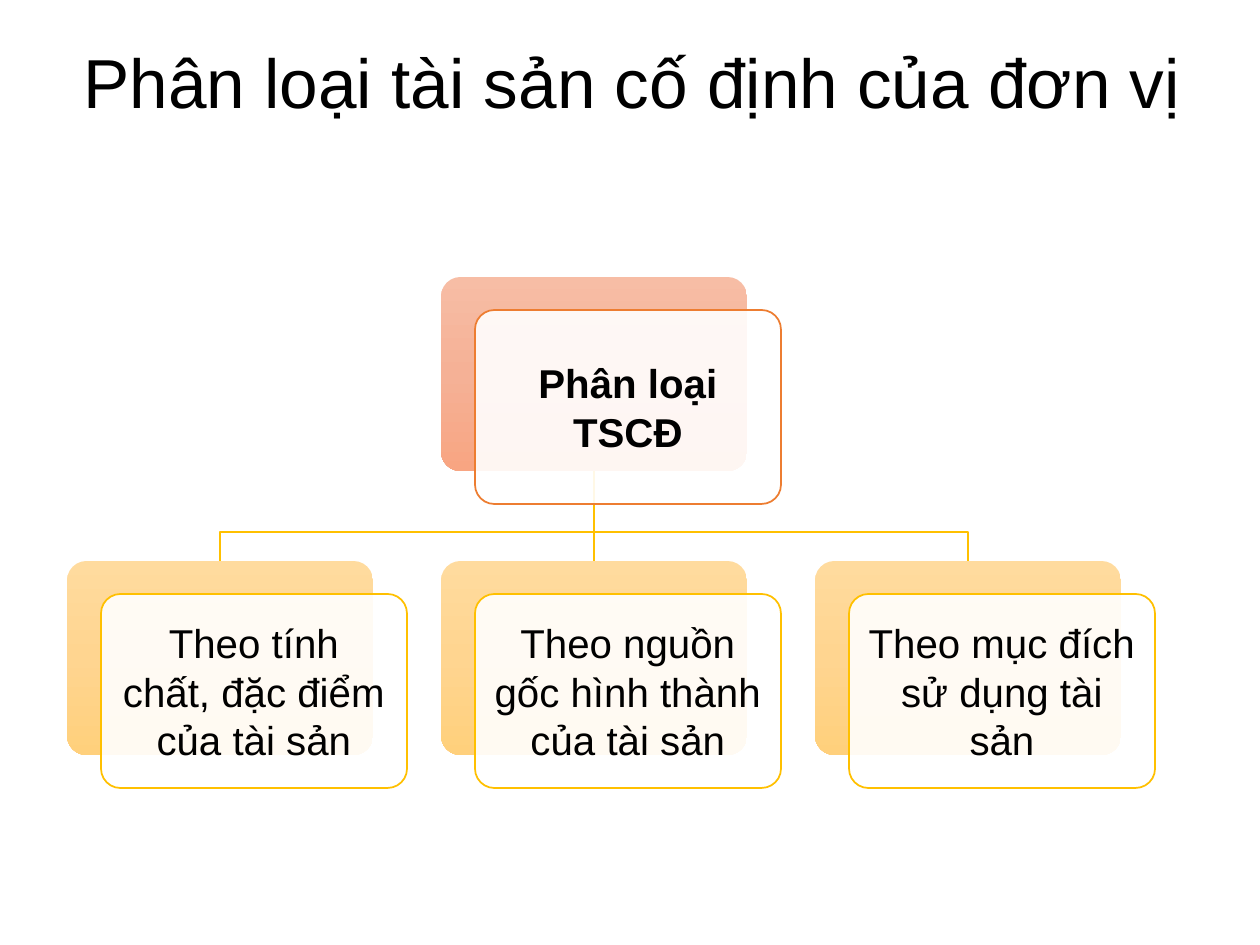
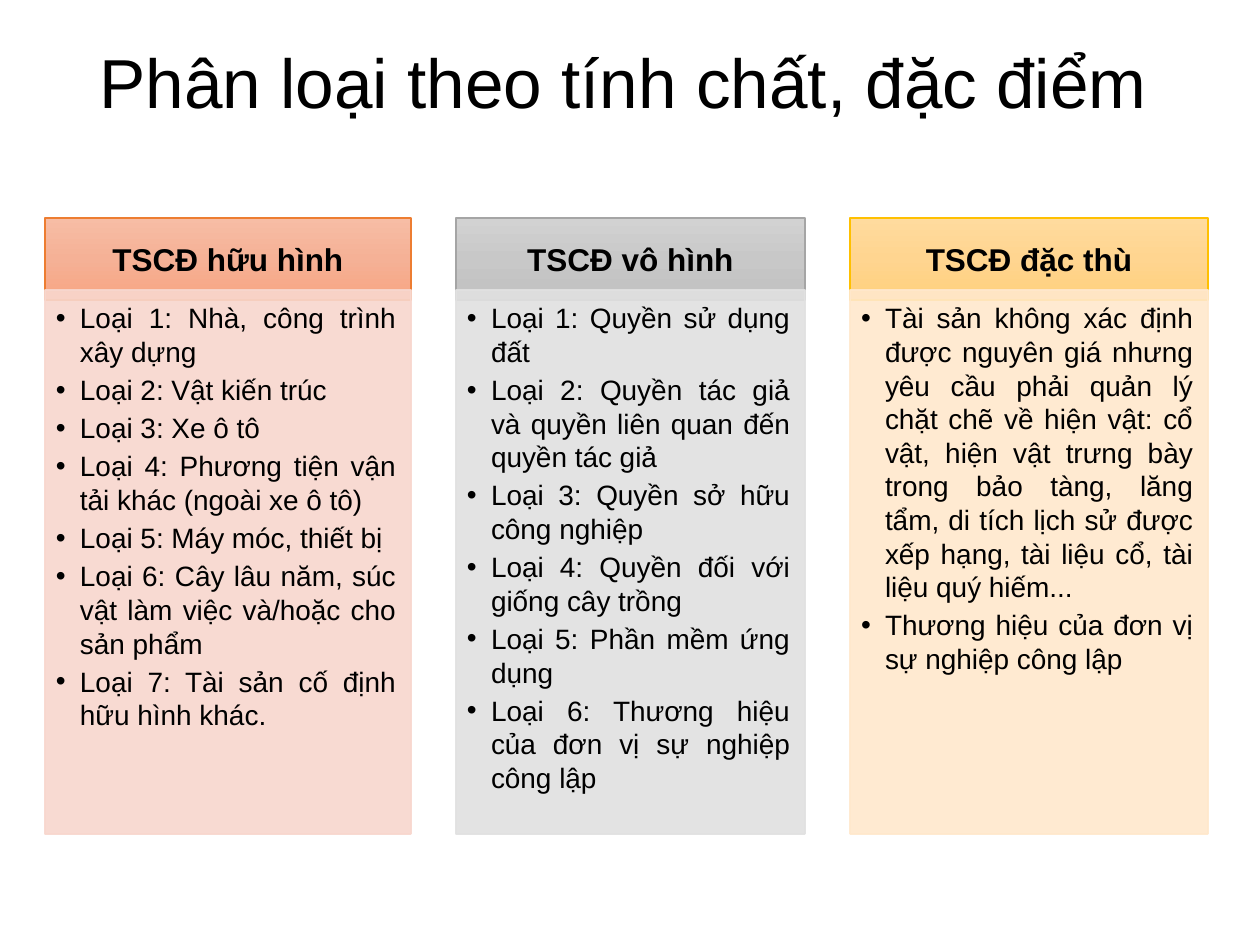
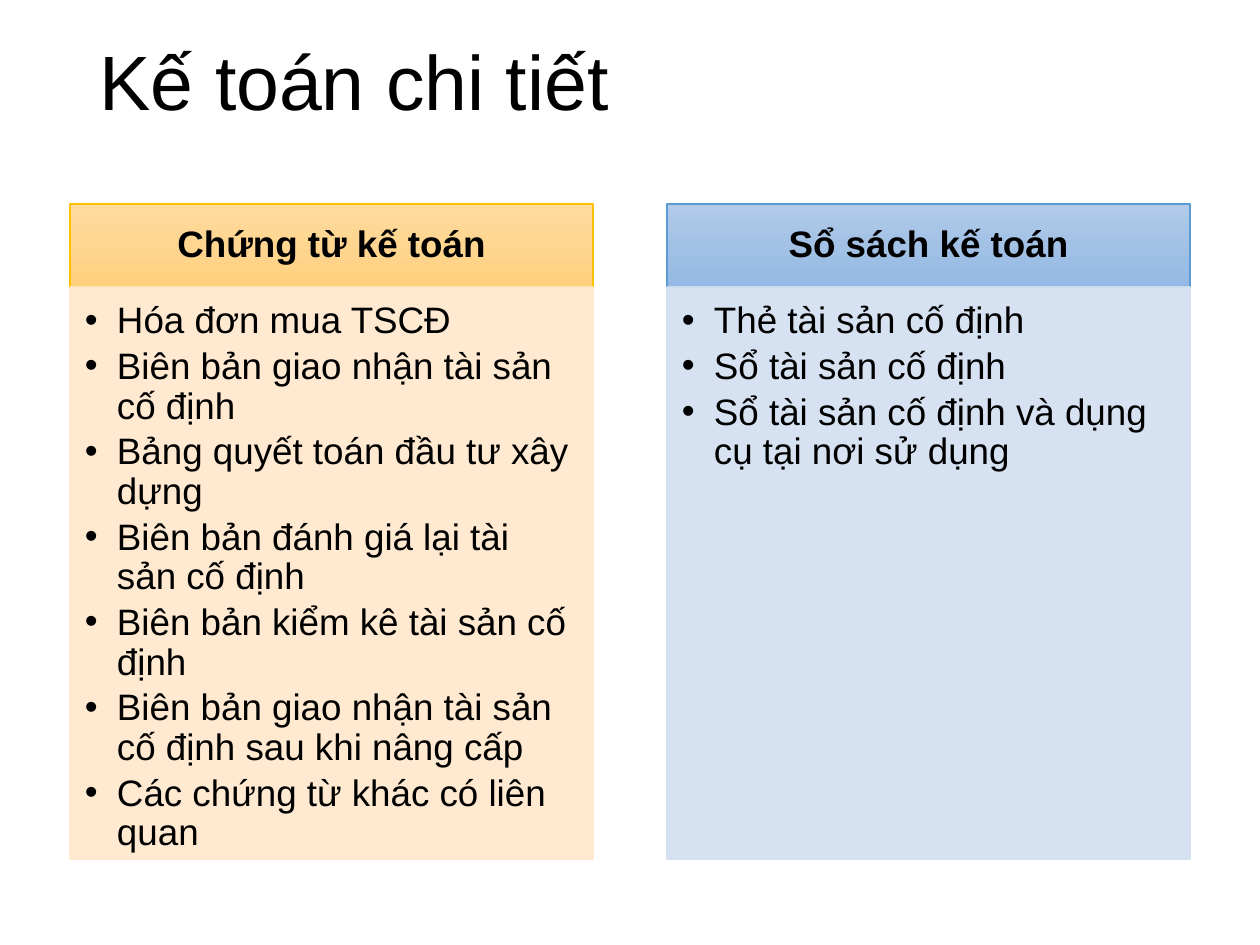
from copy import deepcopy
from dataclasses import dataclass

from lxml import etree
from pptx import Presentation
from pptx import util as u
from pptx.dml.color import RGBColor
from pptx.enum import shapes, text
from pptx.oxml.ns import qn

EMU_PER_PX = u.Inches(1) / 126
TITLE_ONLY_LAYOUT = 5


@dataclass(frozen=True)
class Palette:
    line: str
    gradient: tuple
    panel: str


@dataclass(frozen=True)
class Theme:
    font: str = "Arial"
    ink: str = "000000"
    paper: str = "FFFFFF"
    opacity: int = 90
    line_width: float = 1
    branch_width: float = 1.5
    title_size: float = 39.6
    large_title_size: float = 44
    card_size: float = 23
    title_spacing: float = 0.9
    orange: Palette = Palette("ED7D31", ("F7BDA5", "F5B196", "F8A582"), "F8D7CE")
    gray: Palette = Palette("A5A5A5", ("D2D2D2", "C8C8C8", "C0C0C0"), "E1E1E1")
    gold: Palette = Palette("FFC000", ("FFDB9E", "FFD590", "FFD07C"), "FFE8CC")
    blue: Palette = Palette("5B9BD5", ("B1CBE9", "A3C1E5", "93B9E4"), "D2DFF0")


@dataclass(frozen=True)
class ColumnStyle:
    header_top: int
    header_height: int
    panel_top: int
    panel_height: int
    gap: int
    header_size: int
    list_size: int
    header_margins: tuple
    list_margins: tuple
    indent: int
    align: text.PP_ALIGN
    line_spacing: float


THEME = Theme()

THREE_COLUMNS = ColumnStyle(
    218, 82, 290, 544, 45, 18, 16,
    (18, 10, 18, 10), (11, 11, 15, 18), 24, text.PP_ALIGN.JUSTIFY, 1.0,
)
TWO_COLUMNS = ColumnStyle(
    204, 83, 287, 572, 74, 21, 21,
    (20, 11, 20, 11), (15, 15, 20, 23), 32, text.PP_ALIGN.LEFT, 0.9,
)

ASSET_COLUMNS = [
    (366, THEME.orange, "TSCĐ hữu hình", [
        "Loại 1: Nhà, công trình xây dựng",
        "Loại 2: Vật kiến trúc",
        "Loại 3: Xe ô tô",
        "Loại 4: Phương tiện vận tải khác (ngoài xe ô tô)",
        "Loại 5: Máy móc, thiết bị",
        "Loại 6: Cây lâu năm, súc vật làm việc và/hoặc cho sản phẩm",
        "Loại 7: Tài sản cố định hữu hình khác.",
    ]),
    (349, THEME.gray, "TSCĐ vô hình", [
        "Loại 1: Quyền sử dụng đất",
        "Loại 2: Quyền tác giả và quyền liên quan đến quyền tác giả",
        "Loại 3: Quyền sở hữu công nghiệp",
        "Loại 4: Quyền đối với giống cây trồng",
        "Loại 5: Phần mềm ứng dụng",
        "Loại 6: Thương hiệu của đơn vị sự nghiệp công lập",
    ]),
    (358, THEME.gold, "TSCĐ đặc thù", [
        "Tài sản không xác định được nguyên giá nhưng yêu cầu phải quản lý "
        "chặt chẽ về hiện vật: cổ vật, hiện vật trưng bày trong bảo tàng, "
        "lăng tẩm, di tích lịch sử được xếp hạng, tài liệu cổ, tài liệu quý hiếm...",
        "Thương hiệu của đơn vị sự nghiệp công lập",
    ]),
]

ACCOUNTING_COLUMNS = [
    (523, THEME.gold, "Chứng từ kế toán", [
        "Hóa đơn mua TSCĐ",
        "Biên bản giao nhận tài sản cố định",
        "Bảng quyết toán đầu tư xây dựng",
        "Biên bản đánh giá lại tài sản cố định",
        "Biên bản kiểm kê tài sản cố định",
        "Biên bản giao nhận tài sản cố định sau khi nâng cấp",
        "Các chứng từ khác có liên quan",
    ]),
    (523, THEME.blue, "Sổ sách kế toán", [
        "Thẻ tài sản cố định",
        "Sổ tài sản cố định",
        "Sổ tài sản cố định và dụng cụ tại nơi sử dụng",
    ]),
]

CRITERIA = [
    "Theo tính chất, đặc điểm của tài sản",
    "Theo nguồn gốc hình thành của tài sản",
    "Theo mục đích sử dụng tài sản",
]
CARD_WIDTH, CARD_HEIGHT = 306, 194
CARD_LEFT, CARD_STEP = 67, 374
ROOT_TOP, BRANCH_TOP, CRITERIA_TOP = 277, 532, 561
FACE_SHIFT_X, FACE_SHIFT_Y = 34, 33
CARD_MARGIN = 13


def px(length):
    return u.Emu(round(length * EMU_PER_PX))


def rgb(color):
    return RGBColor.from_string(color)


def format_runs(paragraph, size, bold=False):
    for run in paragraph.runs:
        run.font.name = THEME.font
        run.font.size = u.Pt(size)
        run.font.bold = bold
        run.font.color.rgb = rgb(THEME.ink)


def set_line(shape, color, width=THEME.line_width):
    shape.line.color.rgb = rgb(color)
    shape.line.width = u.Pt(width)


def set_solid(shape, color):
    shape.fill.solid()
    shape.fill.fore_color.rgb = rgb(color)


def set_gradient(shape, colors):
    shape.fill.gradient()
    shape.fill.gradient_angle = 270
    stop_list = shape._element.spPr.find(qn("a:gradFill")).find(qn("a:gsLst"))
    stop_list.insert(1, deepcopy(stop_list[0]))
    for stop, color, position in zip(shape.fill.gradient_stops, colors, (0, 0.5, 1)):
        stop.color.rgb = rgb(color)
        stop.position = position


def make_translucent(shape):
    for color in shape._element.spPr.iter(qn("a:srgbClr")):
        etree.SubElement(color, qn("a:alpha")).set("val", str(THEME.opacity * 1000))


def add_box(slide, kind, left, top, width, height):
    shape = slide.shapes.add_shape(kind, px(left), px(top), px(width), px(height))
    shape.shadow.inherit = False
    return shape


def set_margins(frame, margins):
    frame.word_wrap = True
    frame.margin_left, frame.margin_top, frame.margin_right, frame.margin_bottom = map(px, margins)


def set_label(shape, label, size, margins, bold=False, line_spacing=1.0):
    frame = shape.text_frame
    set_margins(frame, margins)
    frame.vertical_anchor = text.MSO_ANCHOR.MIDDLE
    frame.text = label
    paragraph = frame.paragraphs[0]
    paragraph.alignment = text.PP_ALIGN.CENTER
    paragraph.line_spacing = line_spacing
    format_runs(paragraph, size, bold)


def add_bullet(paragraph, indent):
    properties = paragraph._p.get_or_add_pPr()
    properties.set("marL", str(px(indent)))
    properties.set("indent", str(-px(indent)))
    etree.SubElement(properties, qn("a:buFont")).set("typeface", THEME.font)
    etree.SubElement(properties, qn("a:buChar")).set("char", "•")


def set_list(shape, items, style):
    frame = shape.text_frame
    set_margins(frame, style.list_margins)
    frame.vertical_anchor = text.MSO_ANCHOR.TOP
    frame.text = "\n".join(items)
    for paragraph in frame.paragraphs:
        add_bullet(paragraph, style.indent)
        paragraph.level = 1
        paragraph.alignment = style.align
        paragraph.line_spacing = style.line_spacing
        paragraph.space_after = u.Pt(round(style.list_size * 0.16, 1))
        format_runs(paragraph, style.list_size)


def add_titled_slide(presentation, title, size=THEME.title_size, left=87, width=1086):
    slide = presentation.slides.add_slide(presentation.slide_layouts[TITLE_ONLY_LAYOUT])
    shape = slide.shapes.title
    shape.left, shape.top, shape.width, shape.height = map(px, (left, 19, width, 134))
    frame = shape.text_frame
    frame.text = title
    frame.auto_size = text.MSO_AUTO_SIZE.NONE
    frame.vertical_anchor = text.MSO_ANCHOR.MIDDLE
    paragraph = frame.paragraphs[0]
    paragraph.alignment = text.PP_ALIGN.LEFT
    paragraph.line_spacing = THEME.title_spacing
    format_runs(paragraph, size)
    return slide


def add_card(slide, left, top, label, palette, bold=False):
    kind = shapes.MSO_SHAPE.ROUNDED_RECTANGLE
    back = add_box(slide, kind, left, top, CARD_WIDTH, CARD_HEIGHT)
    set_gradient(back, palette.gradient)
    back.line.fill.background()
    face = add_box(slide, kind, left + FACE_SHIFT_X, top + FACE_SHIFT_Y, CARD_WIDTH, CARD_HEIGHT)
    set_solid(face, THEME.paper)
    make_translucent(face)
    set_line(face, palette.line)
    for shape in (back, face):
        shape.adjustments[0] = 0.1
    set_label(face, label, THEME.card_size, (CARD_MARGIN,) * 4, bold)


def add_elbow(slide, start_x, end_x):
    builder = slide.shapes.build_freeform(start_x, ROOT_TOP + CARD_HEIGHT, EMU_PER_PX)
    builder.add_line_segments(
        [(start_x, BRANCH_TOP), (end_x, BRANCH_TOP), (end_x, CRITERIA_TOP)], close=False
    )
    elbow = builder.convert_to_shape()
    elbow.shadow.inherit = False
    elbow.fill.background()
    set_line(elbow, THEME.gold.line, THEME.branch_width)


def add_trunk(slide, x):
    trunk = slide.shapes.add_connector(
        shapes.MSO_CONNECTOR.STRAIGHT, px(x), px(ROOT_TOP + CARD_HEIGHT), px(x), px(CRITERIA_TOP)
    )
    set_line(trunk, THEME.gold.line, THEME.branch_width)
    etree.SubElement(trunk._element.spPr, qn("a:effectLst"))


def add_tree(slide):
    lefts = [CARD_LEFT + CARD_STEP * index for index in range(len(CRITERIA))]
    first, middle, last = (left + CARD_WIDTH // 2 for left in lefts)
    add_elbow(slide, middle, last)
    add_trunk(slide, middle)
    add_elbow(slide, middle, first)
    add_card(slide, lefts[1], ROOT_TOP, "Phân loại TSCĐ", THEME.orange, bold=True)
    for left, label in zip(lefts, CRITERIA):
        add_card(slide, left, CRITERIA_TOP, label, THEME.gold)


def add_columns(slide, left, columns, style):
    kind = shapes.MSO_SHAPE.RECTANGLE
    for width, palette, heading, items in columns:
        header = add_box(slide, kind, left, style.header_top, width, style.header_height)
        set_gradient(header, palette.gradient)
        set_line(header, palette.line)
        set_label(header, heading, style.header_size, style.header_margins, True, style.line_spacing)
        panel = add_box(slide, kind, left, style.panel_top, width, style.panel_height)
        set_solid(panel, palette.panel)
        set_line(panel, palette.panel)
        make_translucent(panel)
        set_list(panel, items, style)
        left += width + style.gap


def main():
    presentation = Presentation()
    presentation.slide_width = px(1260)
    presentation.slide_height = px(945)

    slide = add_titled_slide(
        presentation, "Phân loại tài sản cố định của đơn vị", left=71, width=1145
    )
    add_tree(slide)

    slide = add_titled_slide(presentation, "Phân loại theo tính chất, đặc điểm")
    add_columns(slide, 45, ASSET_COLUMNS, THREE_COLUMNS)

    slide = add_titled_slide(presentation, "Kế toán chi tiết", THEME.large_title_size)
    add_columns(slide, 70, ACCOUNTING_COLUMNS, TWO_COLUMNS)

    presentation.save("out.pptx")


if __name__ == "__main__":
    main()
